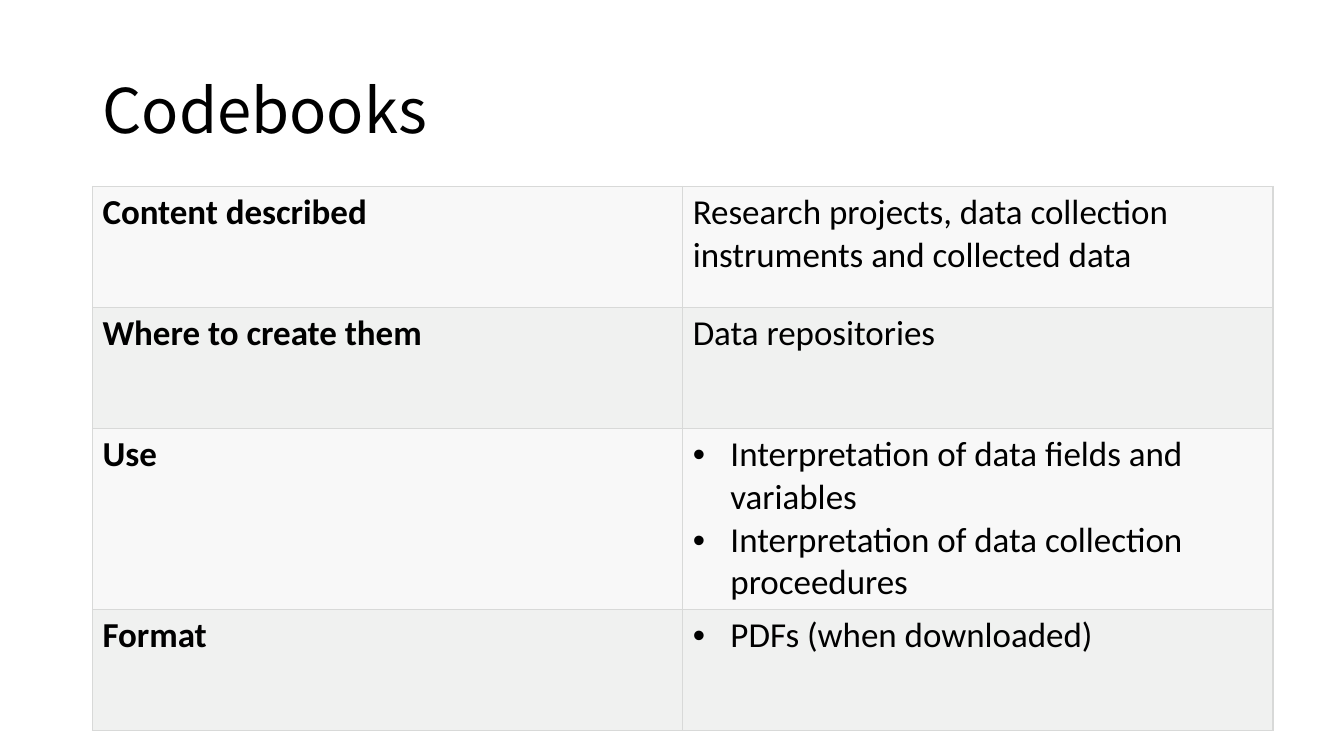
from dataclasses import dataclass

from lxml.etree import SubElement
from pptx import Presentation
from pptx.dml.color import RGBColor
from pptx.enum.text import MSO_ANCHOR, PP_ALIGN
from pptx.oxml.ns import qn
from pptx.util import Cm, Pt

TITLE = "Codebooks"
ROWS = [
    {"label": "Content described", "bulleted": False, "height": 3.05,
     "lines": ["Research projects, data collection instruments and collected data"]},
    {"label": "Where to create them", "bulleted": False, "height": 3.05,
     "lines": ["Data repositories"]},
    {"label": "Use", "bulleted": True, "height": 4.55,
     "lines": ["Interpretation of data fields and variables",
               "Interpretation of data collection proceedures"]},
    {"label": "Format", "bulleted": True, "height": 3.05,
     "lines": ["PDFs (when downloaded)"]},
]


@dataclass(frozen=True)
class Theme:
    ink: str = "000000"
    border: str = "D8D9D8"
    bands: tuple = ("F8F8F8", "F0F1F0")
    title_font: str = "Noto Sans CJK KR"
    body_font: str = "Calibri"
    title_size: int = 44
    body_size: int = 25


THEME = Theme()
LEFT, TABLE_TOP, TABLE_WIDTH = Cm(2.33), Cm(4.7), Cm(29.75)
BULLET_INDENT = Cm(0.95)


def write(para, text, font=THEME.body_font, size=THEME.body_size, bold=False,
          bulleted=False, line_spacing=None):
    if bulleted:
        properties = para._p.get_or_add_pPr()
        properties.set("marL", str(BULLET_INDENT))
        properties.set("indent", str(-BULLET_INDENT))
        SubElement(properties, qn("a:buFont"), typeface="Arial")
        SubElement(properties, qn("a:buChar"), char="•")
    para.alignment = PP_ALIGN.LEFT
    if line_spacing:
        para.line_spacing = line_spacing
    span = para.add_run()
    span.text = text
    span.font.name = font
    span.font.size = Pt(size)
    span.font.bold = bold
    span.font.color.rgb = RGBColor.from_string(THEME.ink)


def style_cell(cell, fill):
    properties = cell._tc.get_or_add_tcPr()
    for side in ("a:lnL", "a:lnR", "a:lnT", "a:lnB"):
        line = SubElement(properties, qn(side), w=str(Pt(1)))
        solid = SubElement(line, qn("a:solidFill"))
        SubElement(solid, qn("a:srgbClr"), val=THEME.border)
    cell.fill.solid()
    cell.fill.fore_color.rgb = RGBColor.from_string(fill)


def add_title(page):
    box = page.shapes.title
    box.left, box.top, box.width, box.height = LEFT, Cm(1.01), Cm(29.21), Cm(3.68)
    box.text_frame.vertical_anchor = MSO_ANCHOR.MIDDLE
    write(box.text_frame.paragraphs[0], TITLE, font=THEME.title_font,
          size=THEME.title_size, line_spacing=0.9)


def add_codebook_table(page):
    height = Cm(sum(row["height"] for row in ROWS))
    table = page.shapes.add_table(len(ROWS), 2, LEFT, TABLE_TOP, TABLE_WIDTH, height).table
    table.first_row = False
    table.horz_banding = False
    for index, row in enumerate(ROWS):
        table.rows[index].height = Cm(row["height"])
        label, details = table.cell(index, 0), table.cell(index, 1)
        for cell in (label, details):
            style_cell(cell, THEME.bands[index % 2])
        write(label.text_frame.paragraphs[0], row["label"], bold=True)
        for number, text in enumerate(row["lines"]):
            frame = details.text_frame
            para = frame.add_paragraph() if number else frame.paragraphs[0]
            write(para, text, bulleted=row["bulleted"])


def main():
    deck = Presentation()
    deck.slide_width, deck.slide_height = Cm(33.87), Cm(19.05)
    page = deck.slides.add_slide(deck.slide_layouts[5])
    add_title(page)
    add_codebook_table(page)
    deck.save("out.pptx")


if __name__ == "__main__":
    main()
